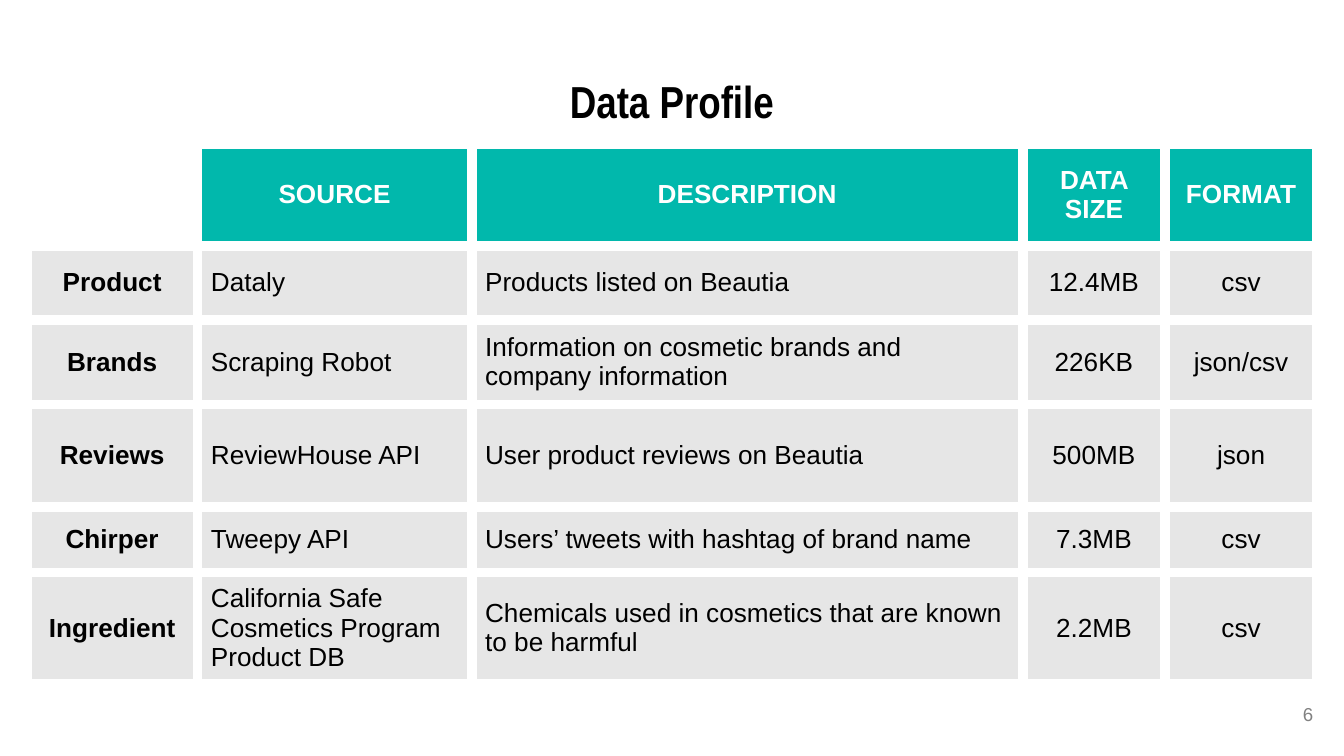
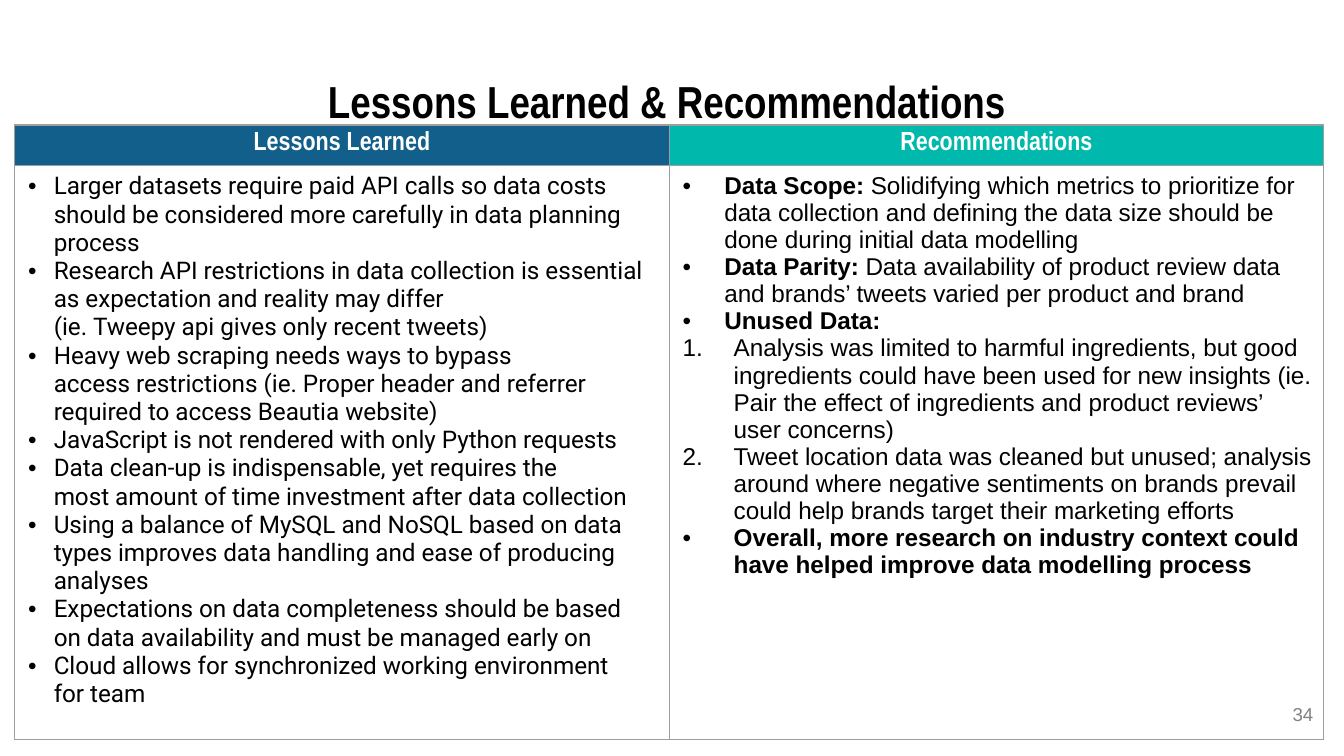
from lxml.etree import SubElement
from pptx import Presentation
from pptx.dml.color import RGBColor
from pptx.enum.text import MSO_ANCHOR, PP_ALIGN
from pptx.oxml.ns import qn
from pptx.util import Emu, Inches, Pt

WHITE = RGBColor(0xFF, 0xFF, 0xFF)
BLACK = RGBColor(0x00, 0x00, 0x00)
TEAL = RGBColor(0x01, 0xB8, 0xAC)
NAVY = RGBColor(0x11, 0x5F, 0x8A)
PALE = RGBColor(0xE6, 0xE6, 0xE6)
RULE = RGBColor(0x9E, 0x9E, 0x9E)
GREY = RGBColor(0x81, 0x81, 0x81)

SANS, NARROW, ROBOTO = "Arial", "Arial Narrow", "Roboto"
TIE, HARD_SPACE = "~", chr(160)

TITLE_BOX = (0.5, 0.45, 9, 0.63)
NUMBER_BOX = (9.27, 5.1, 0.6, 0.43)
PROFILE_BOX = (0.2, 1.07, 9.6, 4.02)
LESSONS_BOX = (0.11, 0.93, 9.74, 4.57)

PROFILE_COLS = (1.27, 2.04, 4.1, 1.06, 1.13)
PROFILE_ROWS = (0.76, 0.55, 0.63, 0.76, 0.49, 0.83)
PROFILE = (
    ("", "SOURCE", "DESCRIPTION", "DATA SIZE", "FORMAT"),
    ("Product", "Dataly", "Products listed on Beautia", "12.4MB", "csv"),
    ("Brands", "Scraping Robot", "Information on cosmetic brands and company information",
     "226KB", "json/csv"),
    ("Reviews", "ReviewHouse API", "User product reviews on Beautia", "500MB", "json"),
    ("Chirper", "Tweepy API", "Users’ tweets with hashtag of brand name", "7.3MB", "csv"),
    ("Ingredient", "California Safe Cosmetics Program Product DB",
     "Chemicals used in cosmetics that are known to be harmful", "2.2MB", "csv"),
)

LESSONS = (
    "Larger datasets require paid API calls so data costs should~be considered more "
    "carefully in data planning process~",
    "Research API restrictions in data collection is essential as~expectation and reality "
    "may differ (ie.~Tweepy~api~gives~only recent tweets)",
    "Heavy web scraping needs ways to bypass access~restrictions (ie. Proper header and "
    "referrer required to~access Beautia website)",
    "JavaScript is not rendered with only Python requests",
    "Data clean-up is indispensable, yet requires the most~amount of time investment after "
    "data collection~",
    "Using a balance of MySQL and NoSQL based on data types~improves data handling and ease "
    "of producing analyses~",
    "Expectations on data completeness should be based on~data availability and must be "
    "managed early on",
    "Cloud allows for synchronized working environment for~team",
)

RECOMMENDATIONS = (
    ("Data Scope:", " Solidifying which metrics to prioritize for data collection and "
     "defining the data size should be done during initial data modelling~", 0.31, False),
    ("Data Parity:", " Data availability of product review data and brands’ tweets varied "
     "per product and brand", 0.31, False),
    ("Unused Data:", "", 0.31, False),
    ("", "Analysis was limited to harmful ingredients, but good ingredients could have been "
     "used for new insights (ie. Pair the effect of ingredients and product reviews’ user "
     "concerns)", 0.38, True),
    ("", "Tweet location data was cleaned but unused; analysis around where negative "
     "sentiments on brands prevail could help brands target their marketing efforts",
     0.38, True),
    ("Overall, more research on industry context could have helped improve data modelling "
     "process", "", 0.38, False),
)


def add_text(p, text, font, size, color, bold=False):
    """Add a styled run to a paragraph, turning ties into hard spaces."""
    r = p.add_run()
    r.text = text.replace(TIE, HARD_SPACE)
    r.font.name, r.font.size, r.font.bold = font, Pt(size), bold
    r.font.color.rgb = color


def add_label(slide, box, text, font, size, color, bold, align, anchor):
    """Place a text box with even margins."""
    tf = slide.shapes.add_textbox(*map(Inches, box)).text_frame
    tf.word_wrap, tf.vertical_anchor = True, anchor
    tf.margin_left = tf.margin_right = tf.margin_top = tf.margin_bottom = Inches(0.1)
    tf.paragraphs[0].alignment = align
    add_text(tf.paragraphs[0], text, font, size, color, bold)


def add_page(prs, title, number):
    """Add a slide with its title and page number."""
    slide = prs.slides.add_slide(prs.slide_layouts[6])
    add_label(slide, TITLE_BOX, title, NARROW, 24, BLACK, True,
              PP_ALIGN.CENTER, MSO_ANCHOR.TOP)
    add_label(slide, NUMBER_BOX, str(number), SANS, 10, GREY, False,
              PP_ALIGN.RIGHT, MSO_ANCHOR.MIDDLE)
    return slide


def add_grid(slide, box, cols, rows, border, width):
    """Add an unfilled table with uniform borders, its columns and rows shared over the box."""
    left, top, w, h = map(Inches, box)
    table = slide.shapes.add_table(len(rows), len(cols), left, top, w, h).table
    table.first_row = table.horz_banding = False
    for col, share in zip(table.columns, cols):
        col.width = Emu(round(w * share / sum(cols)))
    for row, share in zip(table.rows, rows):
        row.height = Emu(round(h * share / sum(rows)))
    for cell in table.iter_cells():
        tcPr = cell._tc.get_or_add_tcPr()
        for edge in ("a:lnL", "a:lnR", "a:lnT", "a:lnB"):
            ln = SubElement(tcPr, qn(edge), w=str(Pt(width)))
            SubElement(SubElement(ln, qn("a:solidFill")), qn("a:srgbClr"), val=str(border))
        cell.fill.background()
    return table


def fill_cell(cell, text, fill, font, color, bold, align):
    """Paint a cell and write its single line of text."""
    cell.fill.solid()
    cell.fill.fore_color.rgb = fill
    p = cell.text_frame.paragraphs[0]
    p.alignment = align
    if text:
        add_text(p, text, font, 14, color, bold)


def set_bullet(p, indent, numbered=False):
    """Give a paragraph a hanging bullet or number."""
    pPr = p._p.get_or_add_pPr()
    pPr.set("marL", str(Inches(indent)))
    pPr.set("indent", str(-Inches(indent)))
    SubElement(SubElement(pPr, qn("a:buClr")), qn("a:srgbClr"), val=str(BLACK))
    SubElement(pPr, qn("a:buFont"), typeface=SANS)
    if numbered:
        SubElement(pPr, qn("a:buAutoNum"), type="arabicPeriod")
    else:
        SubElement(pPr, qn("a:buChar"), char="•")


def next_paragraph(tf, index):
    """Return the first paragraph of a frame, or a new one after it."""
    return tf.add_paragraph() if index else tf.paragraphs[0]


def add_profile(slide, box):
    """Place the data profile table."""
    table = add_grid(slide, box, PROFILE_COLS, PROFILE_ROWS, WHITE, 6)
    for i, row in enumerate(PROFILE):
        for j, text in enumerate(row):
            cell = table.cell(i, j)
            cell.vertical_anchor = MSO_ANCHOR.MIDDLE
            header = i == 0
            fill = PALE if not header else TEAL if text else WHITE
            align = PP_ALIGN.LEFT if not header and j in (1, 2) else PP_ALIGN.CENTER
            fill_cell(cell, text, fill, SANS, WHITE if header else BLACK,
                      header or j == 0, align)


def add_lessons(slide, box):
    """Place the two-column table of lessons and recommendations."""
    table = add_grid(slide, box, (1, 1), (0.3, 4.26), RULE, 0.75)
    for j, (text, color) in enumerate((("Lessons Learned", NAVY), ("Recommendations", TEAL))):
        cell = table.cell(0, j)
        cell.margin_bottom = Inches(0.02)
        fill_cell(cell, text, color, NARROW, WHITE, True, PP_ALIGN.CENTER)

    tf = table.cell(1, 0).text_frame
    for i, text in enumerate(LESSONS):
        p = next_paragraph(tf, i)
        set_bullet(p, 0.19)
        add_text(p, text, ROBOTO, 13, BLACK)

    cell = table.cell(1, 1)
    cell.margin_right = Inches(0.08)
    for i, (lead, rest, indent, numbered) in enumerate(RECOMMENDATIONS):
        p = next_paragraph(cell.text_frame, i)
        set_bullet(p, indent, numbered)
        for text, bold in ((lead, True), (rest, False)):
            if text:
                add_text(p, text, SANS, 13, BLACK, bold)


def main():
    """Build and save the presentation."""
    prs = Presentation()
    prs.slide_width = Inches(10)
    prs.slide_height = Emu(prs.slide_width * 9 // 16)
    add_profile(add_page(prs, "Data Profile", 6), PROFILE_BOX)
    add_lessons(add_page(prs, "Lessons Learned & Recommendations~", 34), LESSONS_BOX)
    prs.save("out.pptx")


if __name__ == "__main__":
    main()
